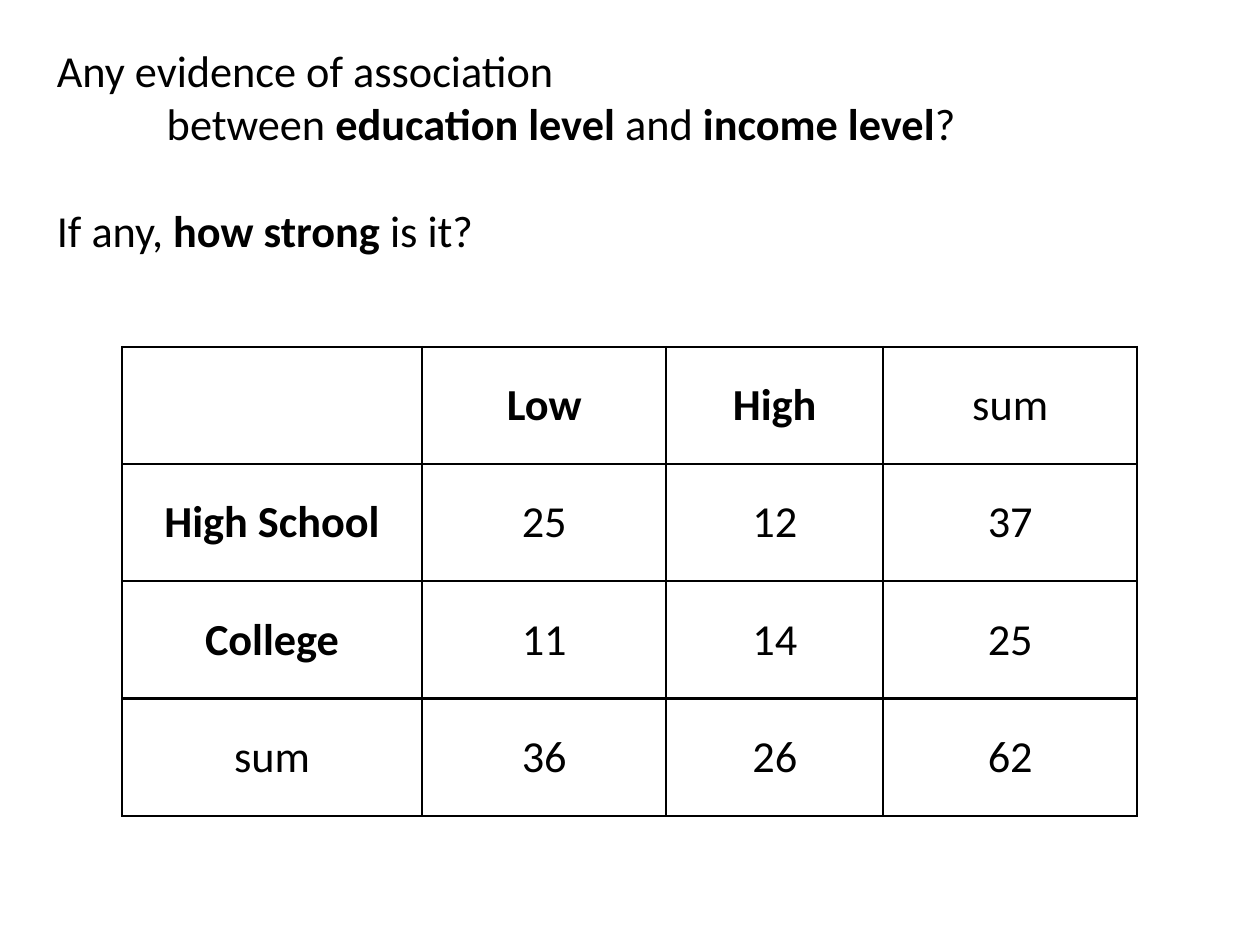
"""Build a slide asking about association, with a two-way table of counts."""
from dataclasses import dataclass

from lxml import etree
from pptx import Presentation
from pptx.dml.color import RGBColor
from pptx.enum.text import MSO_ANCHOR, MSO_AUTO_SIZE, PP_ALIGN
from pptx.oxml.ns import qn
from pptx.util import Cm, Pt

LEFT, CENTER = PP_ALIGN.LEFT, PP_ALIGN.CENTER
MIDDLE = MSO_ANCHOR.MIDDLE
NO_AUTOFIT = MSO_AUTO_SIZE.NONE
TITLE_ONLY = 5


@dataclass(frozen=True)
class Theme:
    font: str = "Calibri"
    size: int = 36
    ink: str = "000000"
    border: int = 2
    cell_margin: float = 0.15


class SlideBuilder:
    def __init__(self, page, theme):
        self.page = page
        self.theme = theme

    def style(self, para, align):
        para.alignment = align
        para.font.name = self.theme.font
        para.font.size = Pt(self.theme.size)
        para.font.color.rgb = RGBColor.from_string(self.theme.ink)

    def title(self, left, top, width, height, lines):
        box = self.page.shapes.title
        box.left, box.top, box.width, box.height = map(Cm, (left, top, width, height))
        frame = box.text_frame
        frame.auto_size = NO_AUTOFIT
        frame.word_wrap = True
        frame.vertical_anchor = MIDDLE
        frame.margin_left = frame.margin_right = frame.margin_top = frame.margin_bottom = 0
        for index, (indent, space_before, spans) in enumerate(lines):
            para = frame.add_paragraph() if index else frame.paragraphs[0]
            self.style(para, LEFT)
            para.space_before = Pt(space_before)
            properties = para._p.get_or_add_pPr()
            properties.set("marL", str(Cm(indent)))
            properties.set("indent", "0")
            for text, bold in spans:
                span = para.add_run()
                span.text = text
                span.font.bold = bold

    def table(self, left, top, column_widths, row_height, rows, bold_labels):
        frame = self.page.shapes.add_table(
            len(rows), len(column_widths), Cm(left), Cm(top),
            Cm(sum(column_widths)), Cm(row_height * len(rows)))
        table = frame.table
        table.first_row = table.horz_banding = False
        for column, width in zip(table.columns, column_widths):
            column.width = Cm(width)
        for row, values in zip(table.rows, rows):
            row.height = Cm(row_height)
            for cell, value in zip(row.cells, values):
                self.cell(cell, value, value in bold_labels)

    def cell(self, cell, text, bold):
        cell.vertical_anchor = MIDDLE
        margin = Cm(self.theme.cell_margin)
        cell.margin_left = cell.margin_right = cell.margin_top = cell.margin_bottom = margin
        self.borders(cell)
        cell.fill.background()
        para = cell.text_frame.paragraphs[0]
        self.style(para, CENTER)
        para.font.bold = bold
        if text:
            para.add_run().text = text

    def borders(self, cell):
        properties = cell._tc.get_or_add_tcPr()
        for side in ("a:lnL", "a:lnR", "a:lnT", "a:lnB"):
            line = etree.SubElement(properties, qn(side), w=str(Pt(self.theme.border)))
            fill = etree.SubElement(line, qn("a:solidFill"))
            etree.SubElement(fill, qn("a:srgbClr"), val=self.theme.ink)


def main():
    deck = Presentation()
    deck.slide_width, deck.slide_height = Cm(36.12), Cm(27.1)
    page = deck.slides.add_slide(deck.slide_layouts[TITLE_ONLY])
    builder = SlideBuilder(page, Theme())
    builder.title(1.63, 1.24, 31.93, 6.1, [
        (0, 0, [("Any evidence of association", False)]),
        (3.15, 0, [("between ", False), ("education level", True), (" and ", False),
                   ("income level", True), ("?", False)]),
        (0, 44, [("If any, ", False), ("how strong", True), (" is it?", False)]),
    ])
    builder.table(3.5, 9.95, [8.6, 7, 6.22, 7.28], 3.36, [
        ["", "Low", "High", "sum"],
        ["High School", "25", "12", "37"],
        ["College", "11", "14", "25"],
        ["sum", "36", "26", "62"],
    ], {"Low", "High", "High School", "College"})
    deck.save("out.pptx")


if __name__ == "__main__":
    main()
